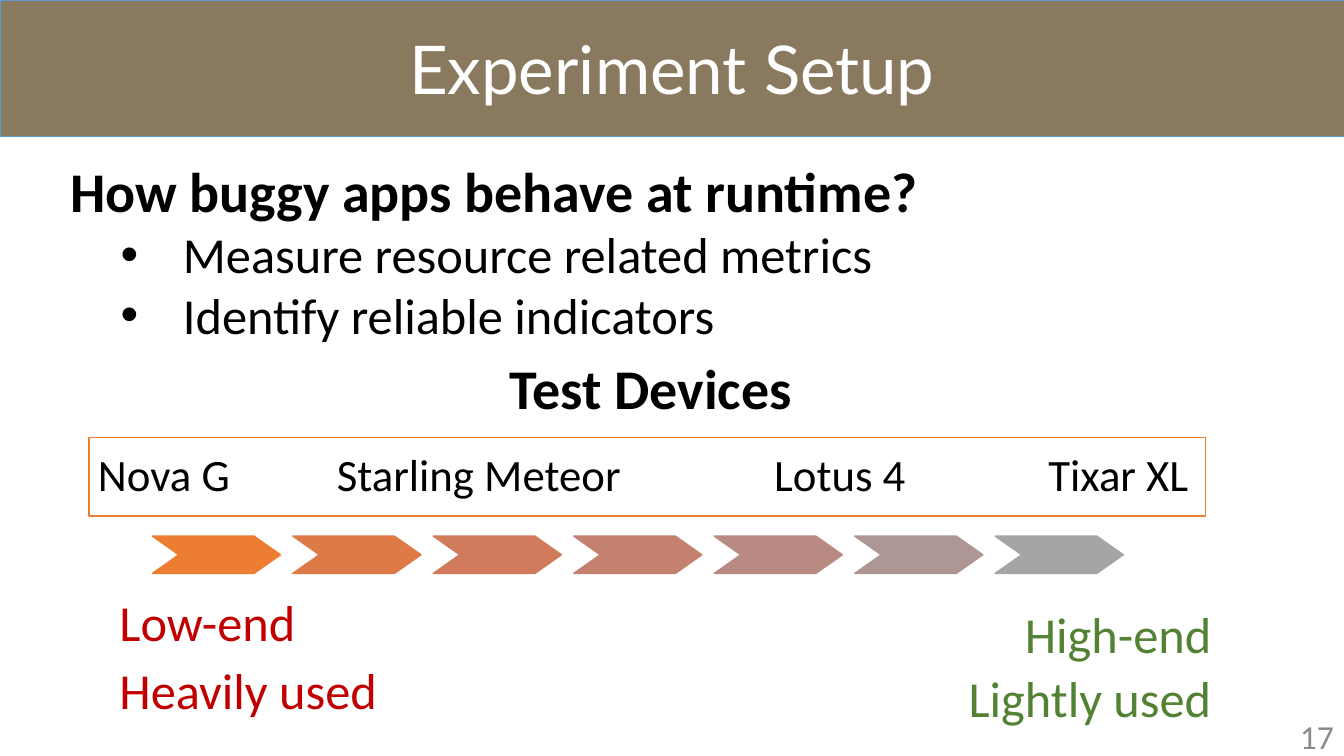
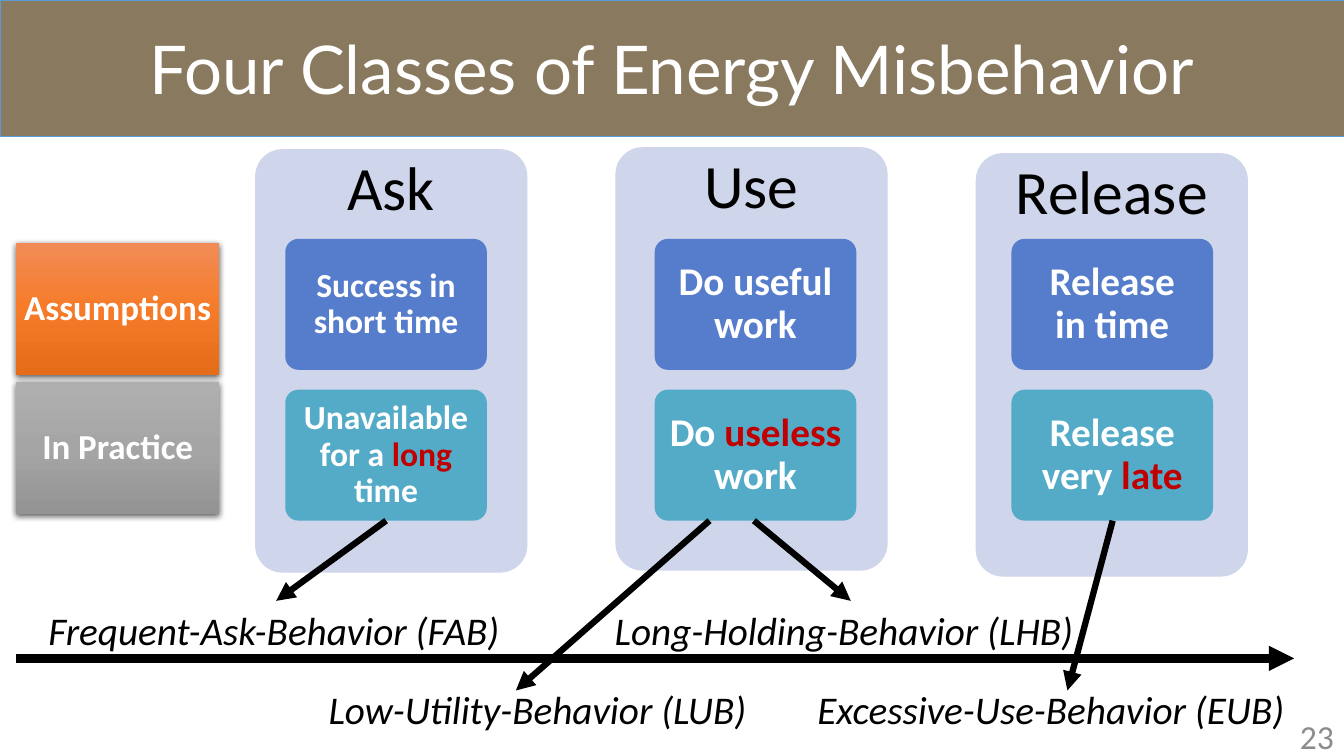
import dataclasses
import typing

import pptx
import pptx.dml.color
import pptx.enum.shapes
import pptx.enum.text
import pptx.oxml
import pptx.oxml.ns
import pptx.util

Cm = pptx.util.Cm
Pt = pptx.util.Pt
SHAPE = pptx.enum.shapes.MSO_SHAPE
ALIGN = pptx.enum.text.PP_ALIGN
ANCHOR = pptx.enum.text.MSO_ANCHOR
NAMESPACE = pptx.oxml.ns.nsdecls("a")


@dataclasses.dataclass(frozen=True)
class Theme:
    title_font: str = "Lato"
    font: str = "Calibri"
    title_size: int = 48
    stage_size: int = 44
    heading_size: int = 40
    body_size: int = 36
    device_size: int = 32
    label_size: int = 28
    tag_size: int = 25
    small_size: int = 24
    white: str = "FFFFFF"
    black: str = "000000"
    band: str = "89795E"
    band_line: str = "5B9BD5"
    orange: str = "ED7D31"
    red: str = "C00000"
    green: str = "548235"
    page_number: str = "8C8C8C"
    panel: str = "CFD5EA"
    assumption: str = "557DCB"
    practice: str = "54ABC8"
    scale: tuple[str, ...] = ("ED7D31", "DE7A47", "D17B5C", "C48170",
                              "B98A82", "AE9694", "A5A5A5")
    orange_gradient: tuple[str, ...] = ("F18C57", "F67B28", "E56C19")
    grey_gradient: tuple[str, ...] = ("AFAFAF", "A5A5A5", "939393")


THEME = Theme()
SLIDE_WIDTH, SLIDE_HEIGHT = 33.87, 19.05


class Area(typing.NamedTuple):
    """Left, top, width and height in centimetres."""
    left: float
    top: float
    width: float
    height: float

    def lengths(self) -> list[int]:
        return [Cm(value) for value in self]


class Style(typing.NamedTuple):
    size: int
    color: str = THEME.black
    bold: bool = False
    italic: bool = False
    font: str = THEME.font


class Label(typing.NamedTuple):
    text: str
    area: Area
    style: Style
    align: ALIGN = ALIGN.LEFT


class Tag(typing.NamedTuple):
    text: str
    top: float
    gradient: tuple[str, ...]


class Arrow(typing.NamedTuple):
    start: tuple[float, float]
    end: tuple[float, float]
    weight: float = 4.5


@dataclasses.dataclass(frozen=True)
class Stage:
    """One panel; every second piece of a card's text is highlighted."""
    name: str
    panel_top: float
    card_left: float
    margin: float
    size: int
    assumption: tuple[str, ...]
    practice: tuple[str, ...]


def rgb(color: str) -> pptx.dml.color.RGBColor:
    return pptx.dml.color.RGBColor.from_string(color)


def apply_format(target: typing.Any, values: dict[str, typing.Any]) -> None:
    for name, value in values.items():
        setattr(target, name, value)


def set_frame(frame, anchor: ANCHOR, side: float = 0.25, edge: float = 0.13) -> None:
    """Side and edge are the horizontal and vertical margins."""
    apply_format(frame, {
        "word_wrap": True, "auto_size": pptx.enum.text.MSO_AUTO_SIZE.NONE,
        "vertical_anchor": anchor, "margin_left": Cm(side), "margin_right": Cm(side),
        "margin_top": Cm(edge), "margin_bottom": Cm(edge)})


def add_span(para, text: str, style: Style) -> None:
    span = para.add_run()
    span.text = text
    apply_format(span.font, {"name": style.font, "size": Pt(style.size),
                             "bold": style.bold, "italic": style.italic})
    span.font.color.rgb = rgb(style.color)


def write(para, pieces: tuple[str, ...], style: Style,
          align: ALIGN = ALIGN.CENTER, spacing: float = 0.9) -> None:
    apply_format(para, {"alignment": align, "line_spacing": spacing,
                        "space_before": Pt(0), "space_after": Pt(0)})
    for index, piece in enumerate(pieces):
        add_span(para, piece, style._replace(color=THEME.red) if index % 2 else style)


def paint(shape, fill: str, line: str | None = None, weight: float = 1) -> None:
    shape.fill.solid()
    shape.fill.fore_color.rgb = rgb(fill)
    if line:
        shape.line.color.rgb = rgb(line)
        shape.line.width = Pt(weight)
    else:
        shape.line.fill.background()


def add_block(page, kind: SHAPE, area: Area, fill: str,
              line: str | None = None, adjust: float | None = None):
    block = page.shapes.add_shape(kind, *area.lengths())
    block.shadow.inherit = False
    paint(block, fill, line)
    if adjust is not None:
        block.adjustments[0] = adjust
    return block


def add_label(page, label: Label, anchor: ANCHOR = ANCHOR.TOP) -> None:
    box = page.shapes.add_textbox(*label.area.lengths())
    set_frame(box.text_frame, anchor)
    write(box.text_frame.paragraphs[0], (label.text,), label.style, label.align, 1.0)


def add_page(deck, layout: int, title: str, number: str):
    page = deck.slides.add_slide(deck.slide_layouts[layout])
    band = page.shapes.title
    place(band, Area(0, 0, SLIDE_WIDTH, 3.43))
    paint(band, THEME.band, THEME.band_line, 0.5)
    set_frame(band.text_frame, ANCHOR.MIDDLE)
    write(band.text_frame.paragraphs[0], (title,),
          Style(THEME.title_size, THEME.white, font=THEME.title_font), spacing=1.0)
    add_label(page, Label(number, Area(SLIDE_WIDTH - 7.62, 18.03, 7.62, 1.02),
                          Style(THEME.small_size, THEME.page_number), ALIGN.RIGHT),
              ANCHOR.MIDDLE)
    return page


def place(shape, area: Area) -> None:
    apply_format(shape, dict(zip(("left", "top", "width", "height"), area.lengths())))


def set_bullet(para, bulleted: bool) -> None:
    properties = para._p.get_or_add_pPr()
    properties.set("marL", str(Cm(2.84) if bulleted else 0))
    properties.set("indent", str(Cm(-1.57) if bulleted else 0))
    marks = ('<a:buFont {} typeface="Arial"/>', '<a:buChar {} char="•"/>')
    for mark in marks if bulleted else ("<a:buNone {}/>",):
        properties.append(pptx.oxml.parse_xml(mark.format(NAMESPACE)))


def add_tag(page, tag: Tag) -> None:
    """A heading block with a vertical gradient and a soft shadow."""
    block = add_block(page, SHAPE.RECTANGLE, Area(0.41, tag.top, 5.11, 3.33),
                      tag.gradient[0])
    stops = "".join(f'<a:gs pos="{index * 50000}"><a:srgbClr val="{color}"/></a:gs>'
                    for index, color in enumerate(tag.gradient))
    properties = block.element.spPr
    solid = properties.find(pptx.oxml.ns.qn("a:solidFill"))
    properties.replace(solid, pptx.oxml.parse_xml(
        f'<a:gradFill {NAMESPACE} rotWithShape="1"><a:gsLst>{stops}</a:gsLst>'
        '<a:lin ang="5400000" scaled="0"/></a:gradFill>'))
    properties.find(pptx.oxml.ns.qn("a:effectLst")).append(pptx.oxml.parse_xml(
        f'<a:outerShdw {NAMESPACE} blurRad="{Pt(4.5)}" dist="{Pt(1.5)}" dir="5400000" '
        f'algn="ctr" rotWithShape="0"><a:srgbClr val="{THEME.black}">'
        '<a:alpha val="63000"/></a:srgbClr></a:outerShdw>'))
    set_frame(block.text_frame, ANCHOR.MIDDLE, 0, 0)
    write(block.text_frame.paragraphs[0], (tag.text,),
          Style(THEME.tag_size, THEME.white, bold=True))


def add_arrow(page, arrow: Arrow) -> None:
    ends = [Cm(value) for value in arrow.start + arrow.end]
    connector = page.shapes.add_connector(
        pptx.enum.shapes.MSO_CONNECTOR.STRAIGHT, *ends)
    connector.line.color.rgb = rgb(THEME.black)
    connector.line.width = Pt(arrow.weight)
    properties = connector.element.spPr
    properties.find(pptx.oxml.ns.qn("a:ln")).append(
        pptx.oxml.parse_xml(f'<a:tailEnd {NAMESPACE} type="triangle"/>'))
    properties.append(pptx.oxml.parse_xml(f"<a:effectLst {NAMESPACE}/>"))


def add_stage(page, index: int, stage: Stage) -> None:
    panel = add_block(page, SHAPE.ROUNDED_RECTANGLE,
                      Area(6.43 + index * 9.08, stage.panel_top, 6.86, 10.67),
                      THEME.panel, adjust=0.1)
    set_frame(panel.text_frame, ANCHOR.TOP, edge=0)
    write(panel.text_frame.paragraphs[0], (stage.name,), Style(THEME.stage_size))
    cards = ((6.02, THEME.assumption, stage.assumption),
             (9.82, THEME.practice, stage.practice))
    for top, fill, pieces in cards:
        card = add_block(page, SHAPE.ROUNDED_RECTANGLE,
                         Area(stage.card_left, top, 5.08, 3.3), fill, adjust=0.1)
        set_frame(card.text_frame, ANCHOR.MIDDLE, stage.margin, 0)
        write(card.text_frame.paragraphs[0], pieces,
              Style(stage.size, THEME.white, bold=True))


def add_device_row(page) -> None:
    """Device names at tab stops in a frame, above the scale of chevrons."""
    row = add_block(page, SHAPE.RECTANGLE, Area(2.24, 11.02, 28.14, 1.98),
                    THEME.white, THEME.orange)
    set_frame(row.text_frame, ANCHOR.MIDDLE, 0.23, 0.23)
    para = row.text_frame.paragraphs[0]
    stops = "".join(f'<a:tab pos="{Cm(stop)}" algn="l"/>' for stop in (6.02, 17.04, 23.95))
    para._p.get_or_add_pPr().append(
        pptx.oxml.parse_xml(f"<a:tabLst {NAMESPACE}>{stops}</a:tabLst>"))
    devices = ("Nova G", "Starling Meteor", "Lotus 4", "Tixar XL")
    write(para, ("\t".join(devices),), Style(THEME.device_size), ALIGN.LEFT)
    for index, color in enumerate(THEME.scale):
        add_block(page, SHAPE.CHEVRON, Area(3.84 + index * 3.54, 13.51, 3.23, 0.94),
                  color, color, 0.71)


def build_setup(deck) -> None:
    page = add_page(deck, 1, "Experiment Setup", "17")
    body = page.placeholders[1]
    place(body, Area(1.52, 3.81, 24, 5.05))
    set_frame(body.text_frame, ANCHOR.TOP)
    lines = ("How buggy apps behave at runtime?", "Measure resource related metrics",
             "Identify reliable indicators")
    for index, line in enumerate(lines):
        para = body.text_frame.add_paragraph() if index else body.text_frame.paragraphs[0]
        para.level = min(index, 1)
        set_bullet(para, index > 0)
        style = Style(THEME.body_size) if index else Style(THEME.heading_size, bold=True)
        write(para, (line,), style, ALIGN.LEFT, 1.0)

    heading = Label("Test Devices", Area(3.82, 8.74, 25.17, 2.05),
                    Style(THEME.heading_size, bold=True), ALIGN.CENTER)
    add_label(page, heading, ANCHOR.MIDDLE)
    add_device_row(page)

    low, high = Style(THEME.body_size, THEME.red), Style(THEME.body_size, THEME.green)
    for text, left, top, style, align in (
            ("Low-end", 2.76, 14.76, low, ALIGN.LEFT),
            ("Heavily used", 2.76, 16.48, low, ALIGN.LEFT),
            ("High-end", 22.78, 15.06, high, ALIGN.RIGHT),
            ("Lightly used", 22.78, 16.69, high, ALIGN.RIGHT)):
        add_label(page, Label(text, Area(left, top, 8, 1.8), style, align))


def build_classes(deck) -> None:
    page = add_page(deck, 5, "Four Classes of Energy Misbehavior", "23")
    for tag in (Tag("Assumptions", 6.12, THEME.orange_gradient),
                Tag("In Practice", 9.63, THEME.grey_gradient)):
        add_tag(page, tag)

    stages = (
        Stage("Ask", 3.76, 7.19, 0.26, THEME.small_size,
              ("Success in short time",), ("Unavailable for a ", "long", " time")),
        Stage("Use", 3.71, 16.5, 0.2, THEME.label_size,
              ("Do useful work",), ("Do ", "useless", " work")),
        Stage("Release", 3.86, 25.49, 0.45, THEME.label_size,
              ("Release in time",), ("Release very ", "late")))
    for index, stage in enumerate(stages):
        add_stage(page, index, stage)

    for text, left, top in (("Frequent-Ask-Behavior (FAB)", 0.97, 15.14),
                            ("Long-Holding-Behavior (LHB)", 15.24, 15.14),
                            ("Low-Utility-Behavior (LUB)", 8.03, 17.13),
                            ("Excessive-Use-Behavior (EUB)", 20.35, 17.13)):
        add_label(page, Label(text, Area(left, top, 12.5, 1.45),
                              Style(THEME.label_size, italic=True)))

    for arrow in (Arrow((0.41, 16.59), (32.61, 16.59), 6),
                  Arrow((9.73, 13.12), (6.96, 15.14)),
                  Arrow((17.88, 13.12), (13, 17.4)),
                  Arrow((19, 13.12), (21.44, 15.14)),
                  Arrow((28.04, 13.12), (26.9, 17.4))):
        add_arrow(page, arrow)


def main() -> None:
    deck = pptx.Presentation()
    apply_format(deck, {"slide_width": Cm(SLIDE_WIDTH), "slide_height": Cm(SLIDE_HEIGHT)})
    build_setup(deck)
    build_classes(deck)
    deck.save("out.pptx")


if __name__ == "__main__":
    main()
